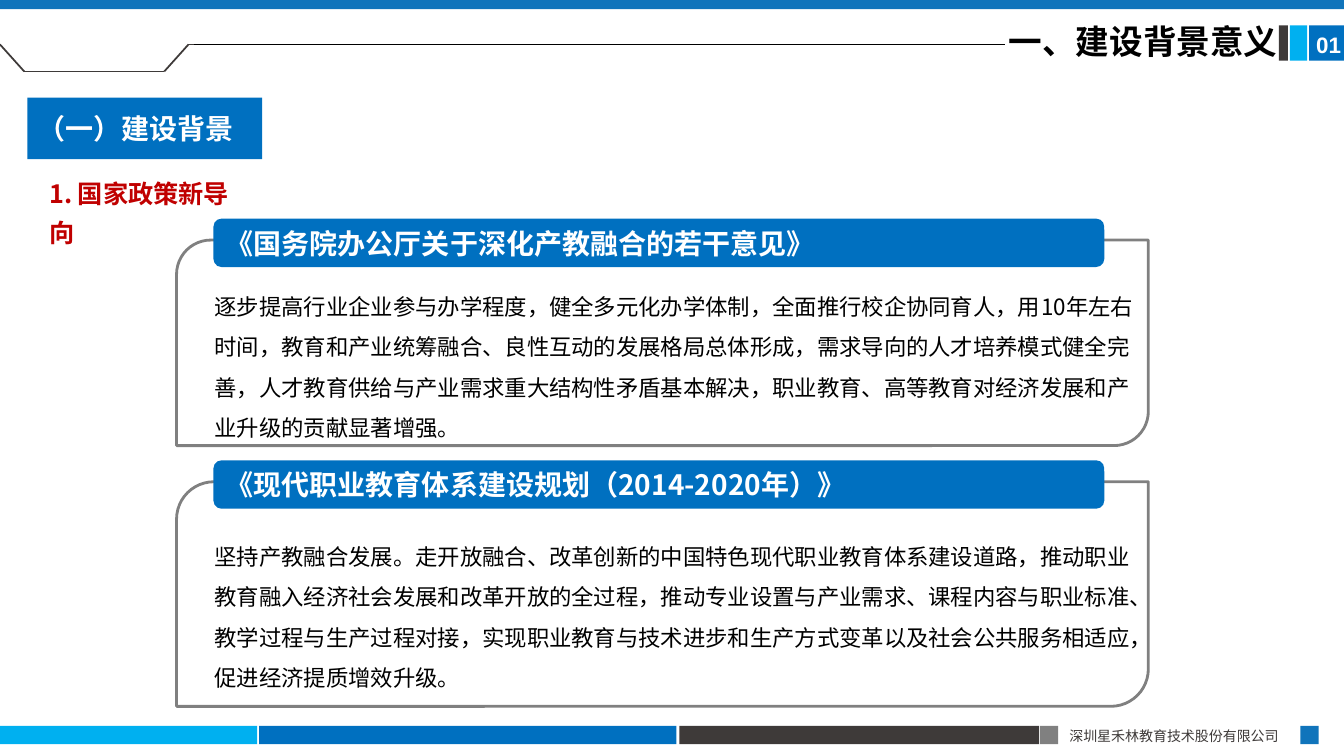
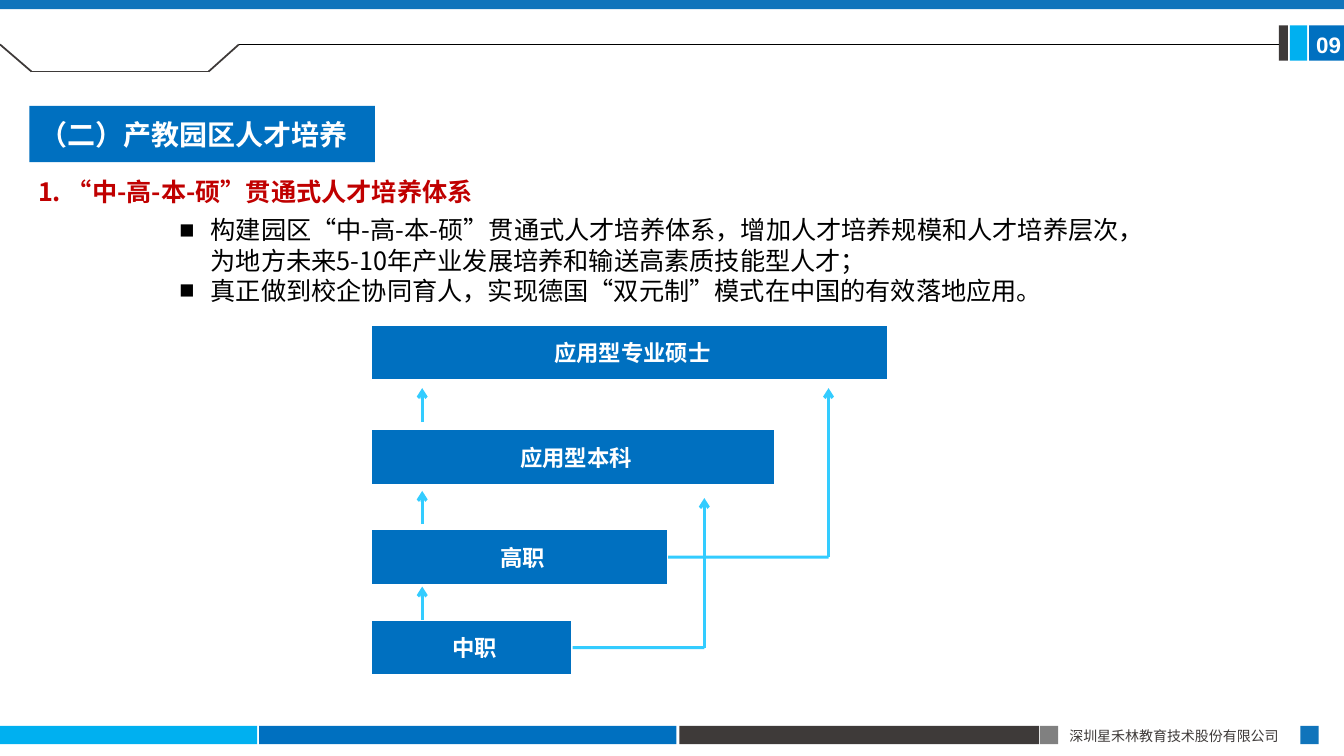
import lxml.etree
import pptx
import pptx.dml.color
import pptx.enum.shapes
import pptx.enum.text
import pptx.oxml.ns
import pptx.util

Cm = pptx.util.Cm
Pt = pptx.util.Pt
SHAPE = pptx.enum.shapes.MSO_SHAPE
MIDDLE = pptx.enum.text.MSO_ANCHOR.MIDDLE
TOP = pptx.enum.text.MSO_ANCHOR.TOP
ALIGN = pptx.enum.text.PP_ALIGN

BLUE, SKY, DARK, GREY = "0070C0", "00B0F0", "3E3A39", "808080"
BAND, ARROW, WHITE, BLACK, RED = "1074BB", "33CCFF", "FFFFFF", "000000", "C00000"
CJK = "Noto Sans CJK SC"
WIDTH, HEIGHT = 33.87, 19.05

STYLES = {
    "footer": {"size": Pt(10), "name": CJK, "color": DARK},
    "number": {"size": Pt(16), "name": "Arial", "color": WHITE, "bold": True},
    "title": {"size": Pt(24), "name": CJK, "color": BLACK, "bold": True},
    "section": {"size": Pt(20), "name": CJK, "color": WHITE, "bold": True},
    "ordinal": {"size": Pt(20), "name": "Calibri", "color": WHITE, "bold": True},
    "heading": {"size": Pt(18), "name": CJK, "color": RED, "bold": True},
    "body": {"size": Pt(16), "name": CJK, "color": BLACK},
    "bullet": {"size": Pt(18), "name": CJK, "color": BLACK},
    "level": {"size": Pt(16), "name": CJK, "color": WHITE, "bold": True},
}

COMPANY = "深圳星禾林教育技术股份有限公司"
SHARED_BLOCKS = [
    ((0, 18.29, 6.48, 0.46), SKY),
    ((6.53, 18.29, 10.52, 0.46), BLUE),
    ((17.12, 18.29, 9.07, 0.46), DARK),
    ((26.21, 18.29, 0.46, 0.46), GREY),
    ((32.77, 18.29, 0.46, 0.46), BAND),
    ((32.99, 0.64, 0.88, 0.89), BLUE),
    ((32.51, 0.64, 0.43, 0.89), SKY),
    ((32.23, 0.64, 0.23, 0.89), DARK),
    ((0, 0, WIDTH, 0.23), BAND),
]

BACKGROUND = {
    "number": "01",
    "notch": [(0, 1.12), (0.61, 1.8), (4.14, 1.8), (4.75, 1.12), (19.66, 1.12)],
    "rule": (4.9, 25.32),
    "section": ("（一）", "建设背景", (0.69, 2.46, 5.92, 1.55)),
    "heading": ("1. 国家政策新导向", (0.99, 4.14, 5.5, 2.1), 28),
}
TITLE = "一、建设背景意义"
POLICIES = [
    {
        "name": "《国务院办公厅关于深化产教融合的若干意见》",
        "text": "逐步提高行业企业参与办学程度，健全多元化办学体制，全面推行校企协同育人，用10年左右时间，"
                "教育和产业统筹融合、良性互动的发展格局总体形成，需求导向的人才培养模式健全完善，"
                "人才教育供给与产业需求重大结构性矛盾基本解决，职业教育、高等教育对经济发展和产业升级的贡献显著增强。",
        "top": 6.05, "height": 5.18, "text_top": 6.92,
    },
    {
        "name": "《现代职业教育体系建设规划（2014-2020年）》",
        "text": "坚持产教融合发展。走开放融合、改革创新的中国特色现代职业教育体系建设道路，"
                "推动职业教育融入经济社会发展和改革开放的全过程，推动专业设置与产业需求、课程内容与职业标准、"
                "教学过程与生产过程对接，实现职业教育与技术进步和生产方式变革以及社会公共服务相适应，"
                "促进经济提质增效升级。",
        "top": 12.14, "height": 5.66, "text_top": 13.22,
    },
]

TRAINING = {
    "number": "09",
    "notch": [(0, 1.12), (0.79, 1.8), (5.26, 1.8), (6.02, 1.12)],
    "rule": (6.02, 32.23),
    "section": ("（二）", "产教园区人才培养", (0.74, 2.67, 8.71, 1.42)),
    "heading": ("1. “中-高-本-硕”贯通式人才培养体系", (0.76, 4.35, 11.4, 1.8), 21.6),
}
BULLETS = [
    "构建园区“中-高-本-硕”贯通式人才培养体系，增加人才培养规模和人才培养层次，"
    "为地方未来5-10年产业发展培养和输送高素质技能型人才；",
    "真正做到校企协同育人，实现德国“双元制”模式在中国的有效落地应用。",
]
LEVEL_LEFT, LEVEL_HEIGHT = 9.35, 1.4
LEVELS = [
    ("中职", 15.62, 5.08),
    ("高职", 13.34, 7.49),
    ("应用型本科", 10.82, 10.19),
    ("应用型专业硕士", 8.18, 13.03),
]
STEP_X = 10.64
STEPS = [(15.62, 14.78), (13.21, 12.37), (10.64, 9.78)]
SHORTCUTS = [("中职", 17.75, 12.55), ("高职", 20.88, 9.78)]


def color(value):
    return pptx.dml.color.RGBColor.from_string(value)


def add_child(parent, tag, **values):
    child = lxml.etree.SubElement(parent, pptx.oxml.ns.qn(tag))
    for key, value in values.items():
        child.set(key, value)
    return child


def add_span(para, text, style):
    span = para.add_run()
    span.text = text
    for key, value in STYLES[style].items():
        if key == "color":
            span.font.color.rgb = color(value)
        else:
            setattr(span.font, key, value)
    props = span._r.get_or_add_rPr()
    props.set("lang", "zh-CN")
    add_child(props, "a:ea", typeface=CJK)


def write(box, paragraphs, anchor=MIDDLE, align=ALIGN.LEFT, leading=None,
          insets=(0.25, 0.13, 0.25, 0.13), bullet=False):
    frame = box.text_frame
    settings = {"word_wrap": True, "vertical_anchor": anchor}
    sides = ("margin_left", "margin_top", "margin_right", "margin_bottom")
    settings.update(zip(sides, map(Cm, insets)))
    for key, value in settings.items():
        setattr(frame, key, value)
    for index, spans in enumerate(paragraphs):
        para = frame.add_paragraph() if index else frame.paragraphs[0]
        para.alignment = align
        if leading:
            para.line_spacing = Pt(leading)
        if bullet:
            props = para._p.get_or_add_pPr()
            props.set("marL", str(Cm(0.79)))
            props.set("indent", str(-Cm(0.79)))
            add_child(props, "a:buFont", typeface="Arial")
            add_child(props, "a:buChar", char="■")
        for text, style in spans:
            add_span(para, text, style)


def add_text(page, area, paragraphs, **options):
    box = page.shapes.add_textbox(*map(Cm, area))
    write(box, paragraphs, **options)


def add_block(page, area, fill=None, line=None, weight=1.5, kind=SHAPE.RECTANGLE):
    box = page.shapes.add_shape(kind, *map(Cm, area))
    box.shadow.inherit = False
    if fill:
        box.fill.solid()
        box.fill.fore_color.rgb = color(fill)
    else:
        box.fill.background()
    if line:
        box.line.color.rgb = color(line)
        box.line.width = Pt(weight)
    else:
        box.line.fill.background()
    return box


def add_line(page, start, end, stroke, weight, arrow=False):
    line = page.shapes.add_connector(
        pptx.enum.shapes.MSO_CONNECTOR.STRAIGHT, *map(Cm, start + end))
    line.line.color.rgb = color(stroke)
    line.line.width = Pt(weight)
    if arrow:
        add_child(line.line._get_or_add_ln(), "a:tailEnd", type="arrow")
    add_child(line._element.spPr, "a:effectLst")
    return line


def add_page(deck, content):
    page = deck.slides.add_slide(deck.slide_layouts[6])
    for area, fill in SHARED_BLOCKS:
        add_block(page, area, fill)
    add_text(page, (26.7, 18.19, 6.1, 0.69), [[(COMPANY, "footer")]], align=ALIGN.JUSTIFY)
    add_text(page, (32.92, 0.66, 0.95, 0.94), [[(content["number"], "number")]],
             insets=(0.25, 0, 0, 0))
    notch = content["notch"]
    for start, end in zip(notch, notch[1:]):
        add_line(page, start, end, DARK, 1.25)
    left, right = content["rule"]
    add_line(page, (left, 1.12), (right, 1.12), BLACK, 0.5)
    ordinal, name, area = content["section"]
    write(add_block(page, area, BLUE), [[(ordinal, "ordinal"), (name, "section")]])
    heading, area, leading = content["heading"]
    add_text(page, area, [[(heading, "heading")]], anchor=TOP, leading=leading,
             insets=(0.25, 0.13, 0.25, 0.13) if leading > 25 else (0.2, 0.1, 0.2, 0.1))
    return page


def add_policy(page, policy):
    add_text(page, (5.16, policy["text_top"], 23.69, 4.37), [[(policy["text"], "body")]],
             anchor=TOP, leading=28.8)
    add_block(page, (4.45, policy["top"], 24.49, policy["height"]), line=GREY, weight=2,
              kind=SHAPE.ROUND_2_DIAG_RECTANGLE)
    banner = add_block(page, (5.38, policy["top"] - 0.54, 22.45, 1.22), BLUE,
                       kind=SHAPE.ROUNDED_RECTANGLE)
    write(banner, [[(policy["name"], "section")]], insets=(0.25, 0, 0.25, 0))


def add_levels(page):
    bars = {}
    for name, top, width in LEVELS:
        bar = add_block(page, (LEVEL_LEFT, top, width, LEVEL_HEIGHT), BLUE, WHITE)
        write(bar, [[(name, "level")]], align=ALIGN.CENTER, insets=(1.12, 0.08, 0.97, 0.08))
        bars[name] = (bar, LEVEL_LEFT + width, top + LEVEL_HEIGHT / 2)
    for start, end in STEPS:
        add_line(page, (STEP_X, start), (STEP_X, end), ARROW, 2.25, arrow=True)
    for name, x, end in SHORTCUTS:
        bar, right, middle = bars[name]
        add_line(page, (right, middle), (x, middle), ARROW, 2.25).begin_connect(bar, 3)
        add_line(page, (x, middle), (x, end), ARROW, 2.25, arrow=True)


def main():
    deck = pptx.Presentation()
    deck.slide_width, deck.slide_height = Cm(WIDTH), Cm(HEIGHT)
    page = add_page(deck, BACKGROUND)
    add_text(page, (25.17, 0.41, 7.75, 1.27), [[(TITLE, "title")]])
    for policy in POLICIES:
        add_policy(page, policy)
    page = add_page(deck, TRAINING)
    add_text(page, (4.27, 5.28, 24.84, 2.57), [[(text, "bullet")] for text in BULLETS],
             anchor=TOP, leading=21.6, bullet=True)
    add_levels(page)
    deck.save("out.pptx")


if __name__ == "__main__":
    main()
